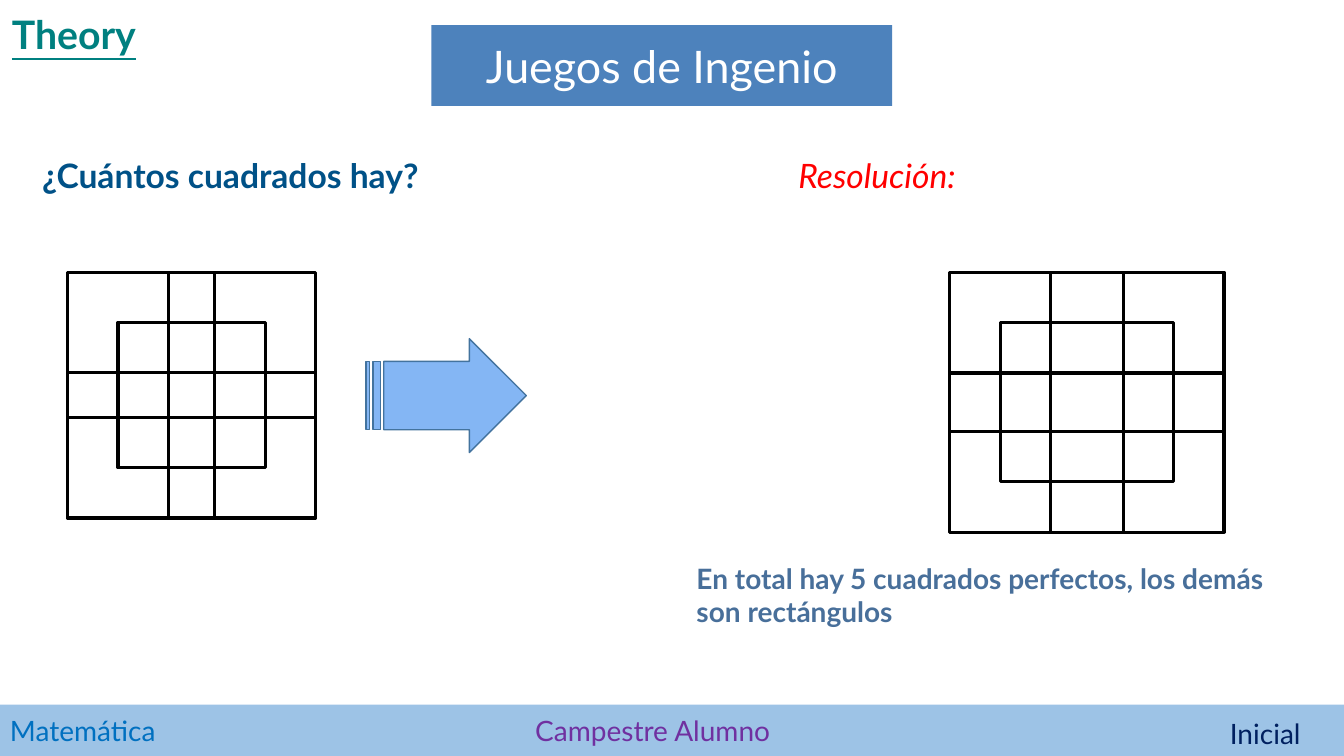
from dataclasses import dataclass

from pptx import Presentation
from pptx import util as u
from pptx.dml import color
from pptx.enum import shapes, text


@dataclass(frozen=True)
class Theme:
    font: str = "Lato"
    bar: str = "9DC3E6"
    banner: str = "4D82BC"
    arrow: str = "84B6F4"
    arrow_edge: str = "43739E"
    black: str = "000000"
    white: str = "FFFFFF"
    subject: str = "0070C0"
    school: str = "7030A0"
    level: str = "002060"
    section: str = "008080"
    question: str = "005187"
    solution: str = "FF0000"
    answer: str = "486F9A"
    banner_size: int = 32
    section_size: int = 28
    heading_size: int = 24
    body_size: int = 20


@dataclass(frozen=True)
class Frame:
    left: float
    top: float
    width: float
    height: float

    def lengths(self) -> list:
        return [u.Inches(v) for v in (self.left, self.top, self.width, self.height)]


@dataclass(frozen=True)
class Label:
    words: str
    frame: Frame
    size: int
    ink: str
    bold: bool = False
    italic: bool = False
    underline: bool = False
    wrap: bool = False


THEME = Theme()

# Squares of a puzzle sit at the corners and centre of a one-inch step
OFFSETS = [(0, 0), (1, 0), (1, 1), (0, 1), (0.5, 0.5)]
FIRST_SQUARES = [Frame(0.67, 2.7, 1.46, 1.44), Frame(9.42, 2.7, 1.72, 1.58)]

LABELS = [
    Label("Matemática", Frame(0, 7.03, 1.82, 0.44), THEME.body_size, THEME.subject),
    Label("Campestre Alumno", Frame(5.21, 7.03, 2.56, 0.44), THEME.body_size, THEME.school),
    Label("Inicial", Frame(12.1, 7.06, 1.1, 0.44), THEME.body_size, THEME.level),
    Label("Theory", Frame(0.02, 0.05, 1.47, 0.57), THEME.section_size, THEME.section,
          bold=True, underline=True),
    Label("¿Cuántos cuadrados hay?", Frame(0.32, 1.49, 4.17, 0.5), THEME.heading_size,
          THEME.question, bold=True),
    Label("Resolución:", Frame(7.82, 1.49, 2.08, 0.5), THEME.heading_size,
          THEME.solution, italic=True),
    Label("En total hay 5 cuadrados perfectos, los demás son rectángulos",
          Frame(6.81, 5.52, 5.97, 0.77), THEME.body_size, THEME.answer,
          bold=True, wrap=True),
]


def add_words(para, label: Label) -> None:
    span = para.add_run()
    span.text = label.words
    font = span.font
    font.name = THEME.font
    font.size = u.Pt(label.size)
    font.color.rgb = color.RGBColor.from_string(label.ink)
    font.bold, font.italic, font.underline = label.bold, label.italic, label.underline


def add_label(page, label: Label) -> None:
    box = page.shapes.add_textbox(*label.frame.lengths())
    box.text_frame.word_wrap = label.wrap
    box.text_frame.auto_size = text.MSO_AUTO_SIZE.SHAPE_TO_FIT_TEXT
    add_words(box.text_frame.paragraphs[0], label)


def add_figure(page, frame: Frame, fill: str = "", edge: str = "", weight: float = 1,
               kind=shapes.MSO_SHAPE.RECTANGLE):
    figure = page.shapes.add_shape(kind, *frame.lengths())
    figure.shadow.inherit = False
    if fill:
        figure.fill.solid()
        figure.fill.fore_color.rgb = color.RGBColor.from_string(fill)
    else:
        figure.fill.background()
    if edge:
        figure.line.color.rgb = color.RGBColor.from_string(edge)
        figure.line.width = u.Pt(weight)
    else:
        figure.line.fill.background()
    return figure


def add_puzzle(page, first: Frame) -> None:
    for across, down in OFFSETS:
        frame = Frame(first.left + across, first.top + down, first.width, first.height)
        add_figure(page, frame, edge=THEME.black, weight=2.25)


def add_banner(page) -> None:
    frame = Frame(4.28, 0.25, 4.57, 0.8)
    banner = add_figure(page, frame, fill=THEME.banner)
    banner.text_frame.vertical_anchor = text.MSO_ANCHOR.MIDDLE
    para = banner.text_frame.paragraphs[0]
    para.alignment = text.PP_ALIGN.CENTER
    add_words(para, Label("Juegos de Ingenio", frame, THEME.banner_size, THEME.white))


def main() -> None:
    deck = Presentation()
    deck.slide_width, deck.slide_height = u.Inches(13.33), u.Inches(7.5)
    page = deck.slides.add_slide(deck.slide_layouts[6])

    # Footer bar and title banner
    add_figure(page, Frame(0, 6.99, 13.33, 0.51), fill=THEME.bar)
    add_banner(page)

    # Overlapping squares, with the arrow towards the solution
    for first in FIRST_SQUARES:
        add_puzzle(page, first)
    arrow = add_figure(page, Frame(3.63, 3.36, 1.59, 1.13), THEME.arrow, THEME.arrow_edge,
                       kind=shapes.MSO_SHAPE.STRIPED_RIGHT_ARROW)
    arrow.adjustments[0] = 0.6
    arrow.adjustments[1] = 0.5

    # Headings, answer and footer wording
    for label in LABELS:
        add_label(page, label)

    deck.save("out.pptx")


if __name__ == "__main__":
    main()
